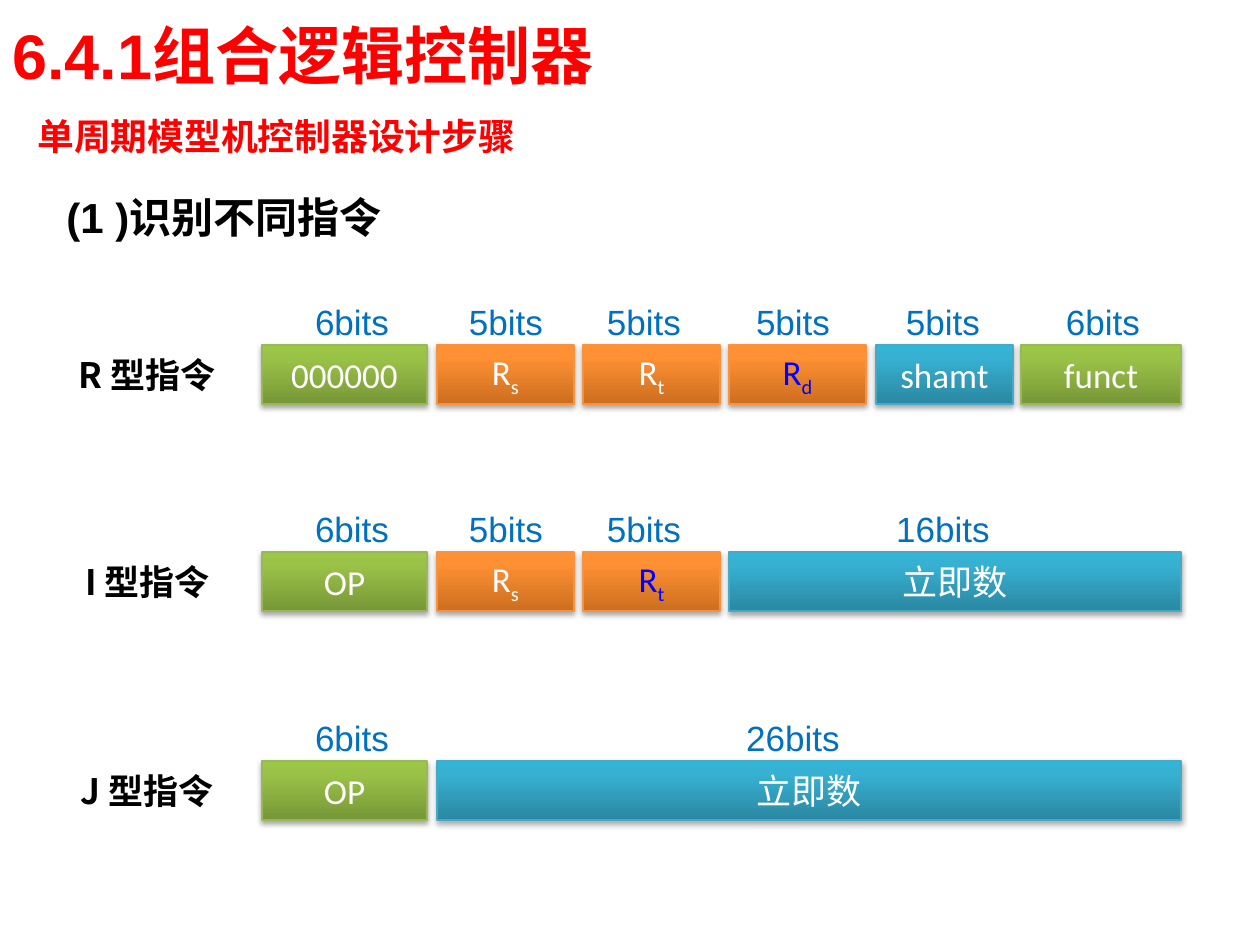
from copy import deepcopy

from lxml import etree
from pptx import Presentation
from pptx import util as u
from pptx.dml.color import RGBColor
from pptx.enum import shapes, text
from pptx.oxml import ns

PX = 914400 / 126
RED = RGBColor(0xFF, 0x00, 0x00)
BLACK = RGBColor(0x00, 0x00, 0x00)
WHITE = RGBColor(0xFF, 0xFF, 0xFF)
BLUE = RGBColor(0x00, 0x00, 0xFF)
BITS_BLUE = RGBColor(0x00, 0x70, 0xC0)
GREEN = [RGBColor(0x77, 0x97, 0x37), RGBColor(0x9B, 0xC3, 0x48),
         RGBColor(0x9D, 0xC7, 0x46), RGBColor(0x98, 0xB9, 0x55)]
ORANGE = [RGBColor(0xCC, 0x6E, 0x20), RGBColor(0xFF, 0x90, 0x34),
          RGBColor(0xFF, 0x91, 0x36), RGBColor(0xF6, 0x92, 0x40)]
TEAL = [RGBColor(0x2A, 0x88, 0xA2), RGBColor(0x37, 0xB1, 0xD2),
        RGBColor(0x34, 0xB4, 0xD6), RGBColor(0x46, 0xAA, 0xC5)]
CJK = "Noto Sans CJK SC"
MIDDLE, TOP = text.MSO_ANCHOR.MIDDLE, text.MSO_ANCHOR.TOP
CENTER, LEFT = text.PP_ALIGN.CENTER, text.PP_ALIGN.LEFT

FIELD_H, BITS_W, BITS_RISE = 59, 142, 51
ROWS = [
    (345, "R 型指令", [
        (262, 165, "000000", "", GREEN, WHITE, 281, "6bits"),
        (437, 137, "R", "s", ORANGE, WHITE, 435, "5bits"),
        (583, 137, "R", "t", ORANGE, WHITE, 573, "5bits"),
        (729, 137, "R", "d", ORANGE, BLUE, 722, "5bits"),
        (876, 137, "shamt", "", TEAL, WHITE, 872, "5bits"),
        (1021, 160, "funct", "", GREEN, WHITE, 1032, "6bits")]),
    (552, "I 型指令", [
        (262, 165, "OP", "", GREEN, WHITE, 281, "6bits"),
        (437, 137, "R", "s", ORANGE, WHITE, 435, "5bits"),
        (583, 137, "R", "t", ORANGE, BLUE, 573, "5bits"),
        (729, 452, "立即数", "", TEAL, WHITE, 872, "16bits")]),
    (761, "J 型指令", [
        (262, 165, "OP", "", GREEN, WHITE, 281, "6bits"),
        (437, 744, "立即数", "", TEAL, WHITE, 722, "26bits")]),
]


def px(*values):
    """Turn whole px into EMU lengths."""
    return [u.Emu(round(v * PX)) for v in values]


def write(sp, words, size, font, color, bold=False, align=CENTER, anchor=MIDDLE, sub=""):
    """Fill a shape with one paragraph and an optional subscript."""
    tf = sp.text_frame
    tf.word_wrap, tf.vertical_anchor = True, anchor
    p = tf.paragraphs[0]
    p.alignment = align
    for part in filter(None, (words, sub)):
        r = p.add_run()
        r.text = part
        for name, value in {"size": u.Pt(size), "name": font, "bold": bold}.items():
            setattr(r.font, name, value)
        r.font.color.rgb = color
        rpr = r.font._element
        etree.SubElement(rpr, ns.qn("a:ea")).set("typeface", CJK)
        if part == sub:
            rpr.set("baseline", "-25000")
    return p


def add_text(s, box, *args, **fmt):
    """Place a text box and return its paragraph."""
    return write(s.shapes.add_textbox(*px(*box)), *args, **fmt)


def add_rect(s, box):
    """Place a rectangle without an inherited shadow."""
    sp = s.shapes.add_shape(shapes.MSO_SHAPE.RECTANGLE, *px(*box))
    sp.shadow.inherit = False
    return sp


def add_field(s, box, words, sub, palette, color):
    """Place a shaded instruction field."""
    sp = add_rect(s, box)
    sp.fill.gradient()
    sp.fill.gradient_angle = 90
    stops = sp._element.spPr.find(".//" + ns.qn("a:gsLst"))
    stops.append(deepcopy(stops[-1]))
    for stop, position, shade in zip(sp.fill.gradient_stops, (0, 0.8, 1), palette):
        stop.position, stop.color.rgb = position, shade
    sp.line.color.rgb, sp.line.width = palette[3], u.Pt(0.75)
    effects = sp._element.spPr.find(ns.qn("a:effectLst"))
    shadow = etree.SubElement(effects, ns.qn("a:outerShdw"), blurRad="40000",
                              dist="23000", dir="5400000", rotWithShape="0")
    tint = etree.SubElement(shadow, ns.qn("a:srgbClr"), val="000000")
    etree.SubElement(tint, ns.qn("a:alpha"), val="35000")
    font = "Calibri" if words.isascii() else CJK
    write(sp, words, 20, font, color, sub=sub)


def add_headings(s, left, top):
    """Place the section title, the subtitle and the step."""
    add_text(s, (left, top, 1076, 101), "6.4.1组合逻辑控制器", 36, "Arial", RED,
             bold=True, align=LEFT)
    p = add_text(s, (left + 25, top + 92, 1086, 86), "单周期模型机控制器设计步骤", 21, CJK, RED,
                 bold=True, align=LEFT)
    p.line_spacing = 0.9
    p = add_text(s, (left + 54, top + 181, 794, 63), "(1 )识别不同指令", 24, "Arial", BLACK,
                 bold=True, align=LEFT, anchor=TOP)
    p.space_after = u.Pt(4.3)
    ppr = p._p.get_or_add_pPr()
    ppr.set("marL", str(u.Inches(0.27)))
    ppr.set("indent", str(-u.Inches(0.27)))


def add_instruction(s, left, top, label, fields):
    """Place one instruction format with its label and bit widths."""
    sp = add_rect(s, (left, top, 207, FIELD_H))
    sp.fill.solid()
    sp.fill.fore_color.rgb = WHITE
    sp.line.fill.background()
    write(sp, label, 20, CJK, BLACK, bold=True)
    for x, width, words, sub, palette, color, bits_x, bits in fields:
        add_field(s, (x, top, width, FIELD_H), words, sub, palette, color)
        add_text(s, (bits_x, top - BITS_RISE, BITS_W, 55), bits, 20, "Arial", BITS_BLUE,
                 anchor=TOP)


def main():
    """Build the slide and save it."""
    prs = Presentation()
    prs.slide_width, prs.slide_height = px(1260, 945)
    s = prs.slides.add_slide(prs.slide_layouts[6])
    add_headings(s, 0, 4)
    for top, label, fields in ROWS:
        add_instruction(s, 44, top, label, fields)
    prs.save("out.pptx")


if __name__ == "__main__":
    main()
